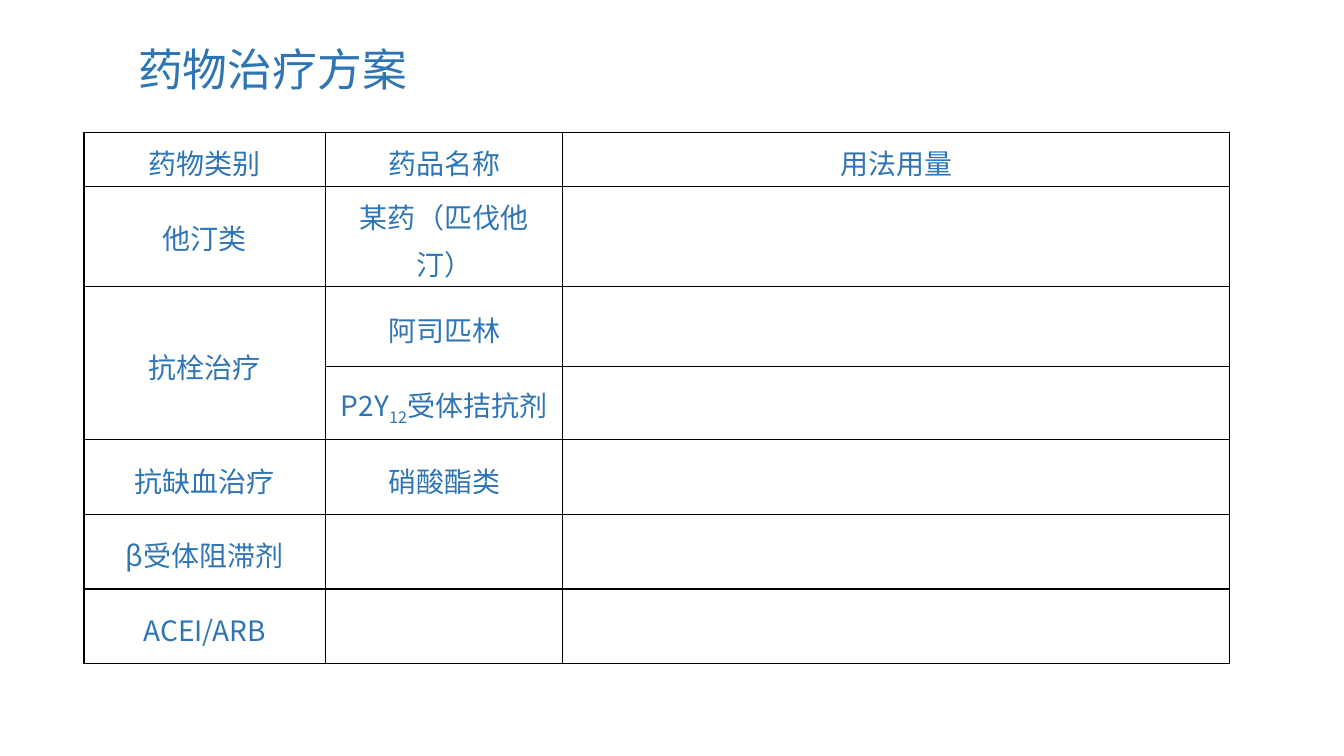
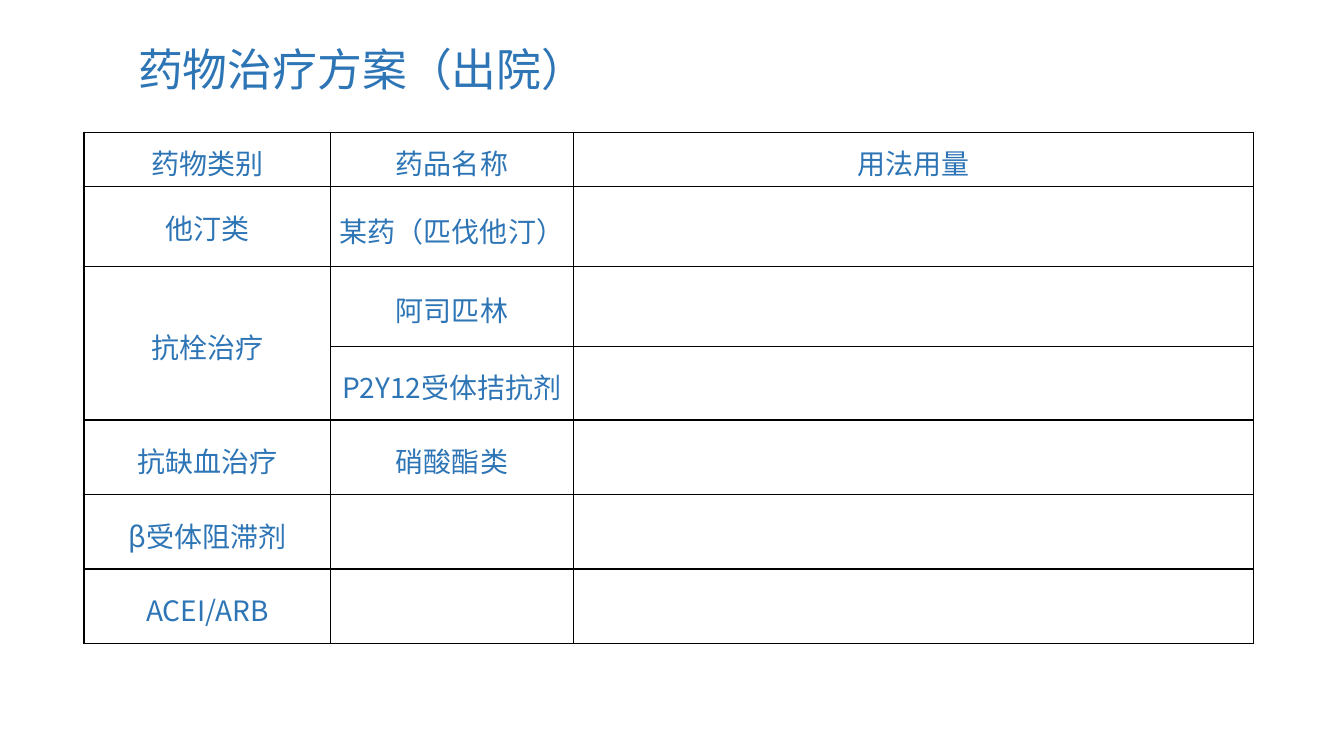
from lxml.etree import SubElement
from pptx import Presentation
from pptx.dml.color import RGBColor
from pptx.enum.text import MSO_ANCHOR, MSO_AUTO_SIZE, PP_ALIGN
from pptx.oxml import parse_xml
from pptx.oxml.ns import nsdecls, qn
from pptx.util import Pt

EMU_PER_PX = 9525
FONT = "Noto Sans CJK SC"
BLUE, BLACK, WHITE = "2E75B6", "000000", "FFFFFF"
ROW_HEIGHTS = [52, 76, 76, 70, 71, 71, 71]
HEADINGS = ["药物类别", "药品名称", "用法用量"]
CATEGORIES = ["他汀类", "抗栓治疗", "", "抗缺血治疗", "β受体阻滞剂", "ACEI/ARB"]
STATIN = "某药（匹伐他汀）"
PLANS = [
    ("药物治疗方案", [230, 226, 635], ("P2Y", "12", "受体拮抗剂")),
    ("药物治疗方案（出院）", [235, 231, 648], ("P2Y12受体拮抗剂",)),
]


def px(length):
    return length * EMU_PER_PX


def color(value):
    return RGBColor.from_string(value)


class PlanDeck:
    """Holds the shared style and the current slide."""

    def __init__(self):
        self.deck = Presentation()
        self.deck.slide_width, self.deck.slide_height = px(1280), px(720)
        self.slide = None

    def style_run(self, run, size):
        run.font.size = Pt(size)
        run.font.color.rgb = color(BLUE)
        run.font.name = FONT
        SubElement(run._r.get_or_add_rPr(), qn("a:ea")).set("typeface", FONT)

    def add_slide(self, heading):
        self.slide = self.deck.slides.add_slide(self.deck.slide_layouts[5])
        title = self.slide.shapes.title
        title.left, title.top, title.width, title.height = map(px, (122, 41, 684, 87))
        frame = title.text_frame
        frame.text = heading
        frame.word_wrap = True
        frame.auto_size = MSO_AUTO_SIZE.NONE
        frame.vertical_anchor = MSO_ANCHOR.TOP
        paragraph = frame.paragraphs[0]
        paragraph.alignment = PP_ALIGN.LEFT
        paragraph.line_spacing = 0.9
        self.style_run(paragraph.runs[0], 32)

    def style_cell(self, cell):
        cell.fill.solid()
        cell.fill.fore_color.rgb = color(WHITE)
        cell.vertical_anchor = MSO_ANCHOR.MIDDLE
        cell.margin_left = cell.margin_right = px(7)
        cell.margin_top = cell.margin_bottom = px(3)
        properties = cell._tc.get_or_add_tcPr()
        for index, side in enumerate("LRTB"):
            properties.insert(index, parse_xml(
                f'<a:ln{side} {nsdecls("a")} w="{Pt(1)}"><a:solidFill>'
                f'<a:srgbClr val="{BLACK}"/></a:solidFill></a:ln{side}>'))

    def write_cell(self, cell, parts, spacing):
        paragraph = cell.text_frame.paragraphs[0]
        paragraph.alignment = PP_ALIGN.CENTER
        paragraph.line_spacing = spacing
        for index, part in enumerate(parts):
            run = paragraph.add_run()
            run.text = part
            self.style_run(run, 20)
            if index == 1:
                run._r.get_or_add_rPr().set("baseline", "-25000")

    def add_table(self, column_widths, rows):
        table = self.slide.shapes.add_table(
            len(rows), len(column_widths), px(80), px(126),
            px(sum(column_widths)), px(sum(ROW_HEIGHTS))).table
        table.first_row = table.horz_banding = False
        for column, width in zip(table.columns, column_widths):
            column.width = px(width)
        for row, height in zip(table.rows, ROW_HEIGHTS):
            row.height = px(height)
        for row, entries in enumerate(rows):
            for column, entry in enumerate(entries):
                cell = table.cell(row, column)
                self.style_cell(cell)
                if entry:
                    parts = (entry,) if isinstance(entry, str) else entry
                    spacing = 1.0 if (row, column) == (1, 0) else 1.15
                    self.write_cell(cell, parts, spacing)
        table.cell(2, 0).merge(table.cell(3, 0))


def main():
    plan_deck = PlanDeck()
    for heading, column_widths, receptor_blocker in PLANS:
        drugs = [STATIN, "阿司匹林", receptor_blocker, "硝酸酯类", "", ""]
        rows = [HEADINGS] + [[category, drug, ""] for category, drug in zip(CATEGORIES, drugs)]
        plan_deck.add_slide(heading)
        plan_deck.add_table(column_widths, rows)
    plan_deck.deck.save("out.pptx")


if __name__ == "__main__":
    main()
